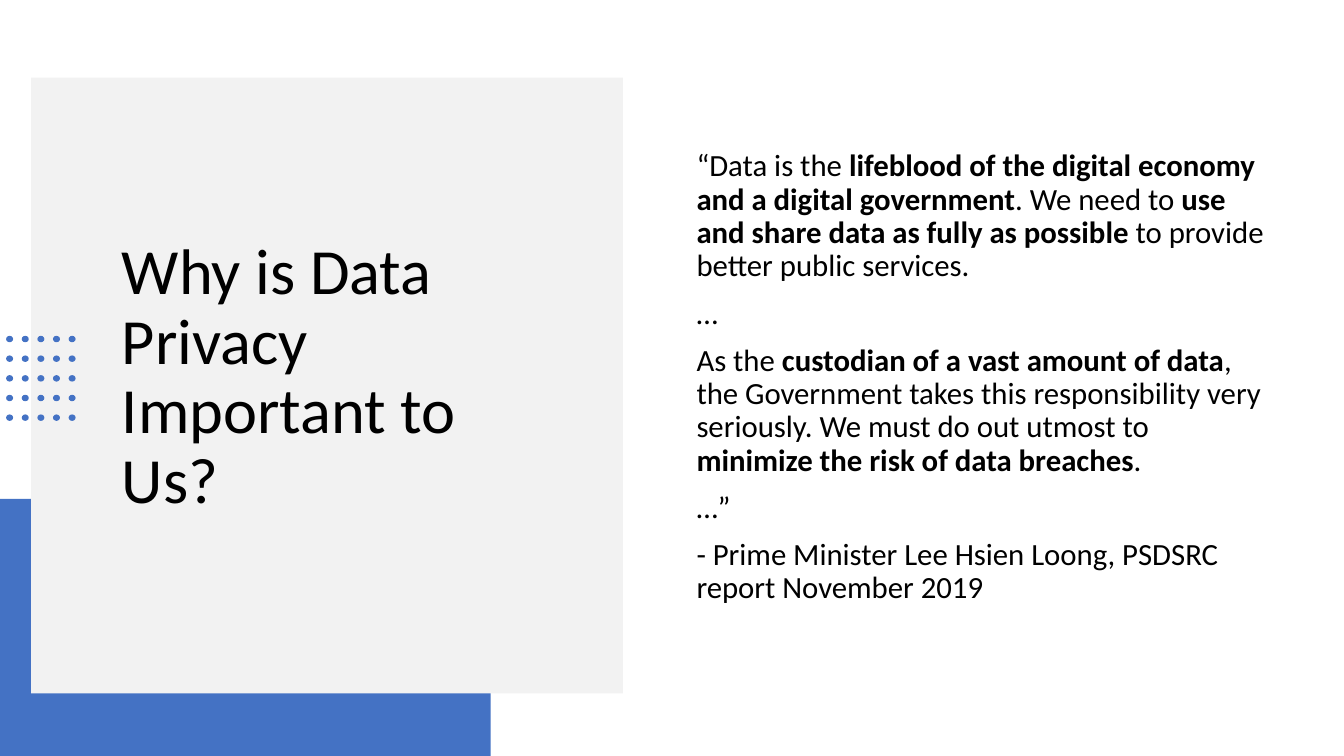
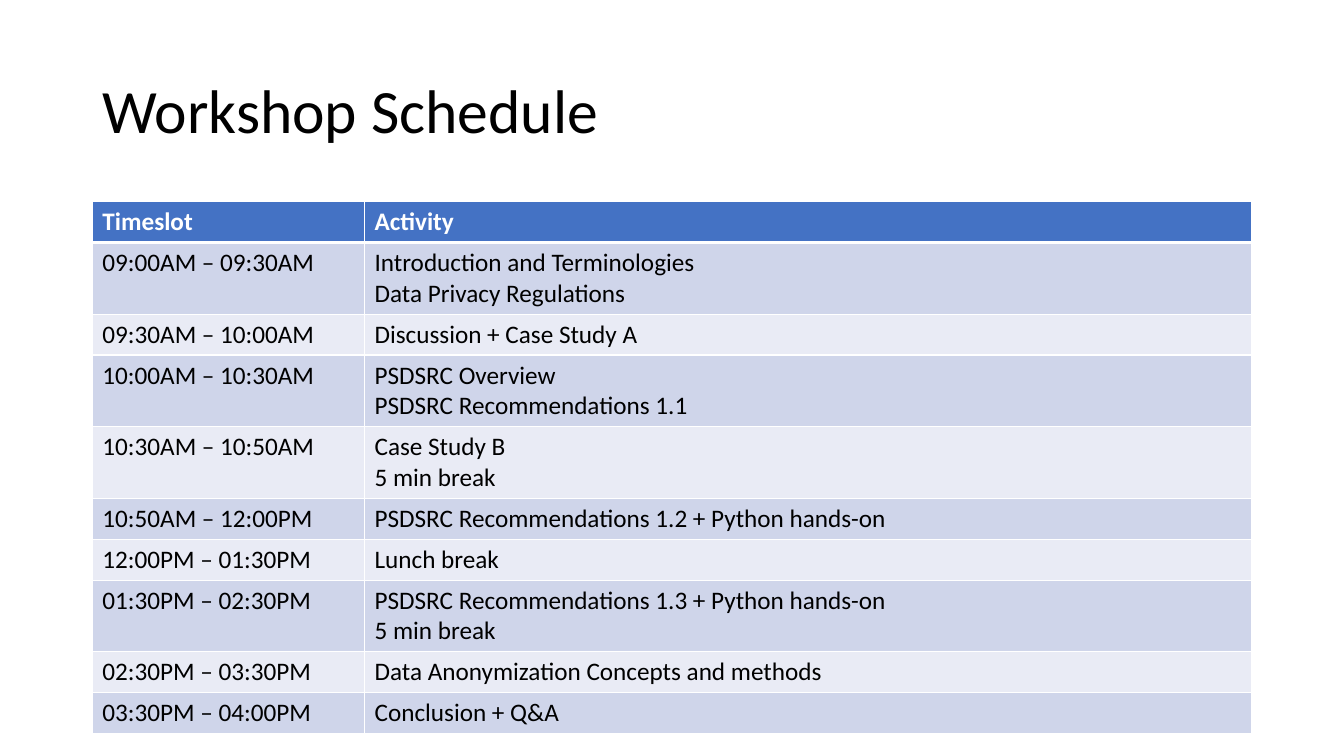
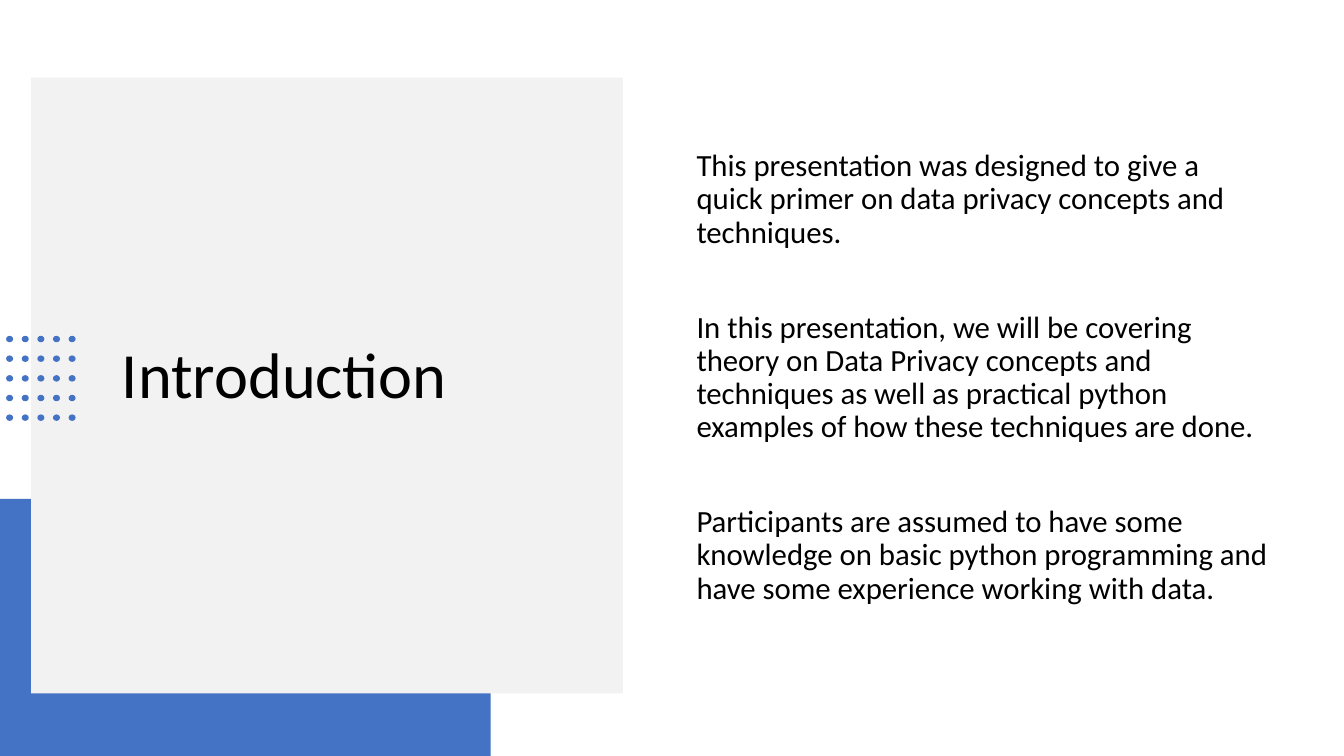
from dataclasses import dataclass
from itertools import product
from typing import Optional, Sequence

from lxml import etree
from pptx import Presentation
from pptx.dml.color import RGBColor
from pptx.enum import shapes as shape_enum, text as text_enum
from pptx.oxml import ns
from pptx.util import Pt

BLUE = RGBColor(0x44, 0x72, 0xC4)
PANEL_GREY = RGBColor(0xF2, 0xF2, 0xF2)
STRIPES = (RGBColor(0xCF, 0xD5, 0xEA), RGBColor(0xE9, 0xEB, 0xF5))
BLACK = RGBColor(0, 0, 0)
WHITE = RGBColor(0xFF, 0xFF, 0xFF)
FONT = "Calibri"
TITLE_AND_BODY, TITLE_ONLY = 1, 5


@dataclass(frozen=True)
class Box:
    """A rectangle in points."""
    left: float
    top: float
    width: float
    height: float

    def lengths(self) -> tuple:
        return Pt(self.left), Pt(self.top), Pt(self.width), Pt(self.height)


@dataclass(frozen=True)
class Run:
    text: str
    bold: bool = False


@dataclass(frozen=True)
class Paragraph:
    runs: Sequence[Run]
    space_before: float = 0


@dataclass(frozen=True)
class Session:
    timeslot: str
    activities: Sequence[str]


SLIDE = Box(0, 0, 960, 540)
BAND = Box(0, 356.4, 350.6, 183.6)
PANEL = Box(22.3, 55.4, 422.6, 440)
PANEL_TITLE = Box(79.9, 105.8, 330.5, 328.3)
PANEL_BODY = Box(490.3, 59, 422.6, 422)
PAGE_TITLE = Box(66, 28.8, 828, 104.4)
FIRST_DOT = Box(4.4, 239.9, 5, 4.6)
DOT_STEP_X, DOT_STEP_Y, DOTS_PER_SIDE = 11.16, 14.04, 5
TABLE_LEFT, TABLE_TOP = 66, 144
COLUMN_WIDTHS = (194.4, 633.6)
ROW_HEIGHT, EXTRA_LINE = 29.2, 22
THIN, THICK = 1, 3
BODY_GAP, WIDE_GAP = 10, 44

QUOTE = (
    (Run("“Data is the "),
     Run("lifeblood of the digital economy and a digital government", True),
     Run(". We need to "),
     Run("use and share data as fully as possible", True),
     Run(" to provide better public services.")),
    (Run("…"),),
    (Run("As the "),
     Run("custodian of a vast amount of data", True),
     Run(", the Government takes this responsibility very seriously. "
         "We must do out utmost to "),
     Run("minimize the risk of data breaches", True),
     Run(".")),
    (Run("…”"),),
    (Run("- Prime Minister Lee Hsien Loong, PSDSRC report November 2019"),),
)
INTRODUCTION = (
    "This presentation was designed to give a quick primer on data privacy "
    "concepts and techniques.",
    "In this presentation, we will be covering theory on Data Privacy concepts "
    "and techniques as well as practical python examples of how these "
    "techniques are done.",
    "Participants are assumed to have some knowledge on basic python "
    "programming and have some experience working with data.",
)
SCHEDULE = (
    Session("Timeslot", ("Activity",)),
    Session("09:00AM – 09:30AM", ("Introduction and Terminologies",
                                  "Data Privacy Regulations")),
    Session("09:30AM – 10:00AM", ("Discussion + Case Study A",)),
    Session("10:00AM – 10:30AM", ("PSDSRC Overview", "PSDSRC Recommendations 1.1")),
    Session("10:30AM – 10:50AM", ("Case Study B", "5 min break")),
    Session("10:50AM – 12:00PM", ("PSDSRC Recommendations 1.2 + Python hands-on",)),
    Session("12:00PM – 01:30PM", ("Lunch break",)),
    Session("01:30PM – 02:30PM", ("PSDSRC Recommendations 1.3 + Python hands-on",
                                  "5 min break")),
    Session("02:30PM – 03:30PM", ("Data Anonymization Concepts and methods",)),
    Session("03:30PM – 04:00PM", ("Conclusion + Q&A",)),
)


def plain(text: str, space_before: float = 0, bold: bool = False) -> Paragraph:
    return Paragraph((Run(text, bold),), space_before)


def write_text(frame, paragraphs: Sequence[Paragraph], *, size: float,
               color: RGBColor = BLACK, line_spacing: float = 1.0) -> None:
    for index, content in enumerate(paragraphs):
        paragraph = frame.paragraphs[0] if index == 0 else frame.add_paragraph()
        paragraph.alignment = text_enum.PP_ALIGN.LEFT
        paragraph.line_spacing = line_spacing
        paragraph.space_before = Pt(content.space_before)
        for part in content.runs:
            run = paragraph.add_run()
            run.text = part.text
            run.font.name = FONT
            run.font.size = Pt(size)
            run.font.bold = part.bold
            run.font.color.rgb = color


def fill_placeholder(shape, box: Box, paragraphs: Sequence[Paragraph],
                     size: float) -> None:
    shape.left, shape.top, shape.width, shape.height = box.lengths()
    frame = shape.text_frame
    frame.word_wrap = True
    frame.auto_size = text_enum.MSO_AUTO_SIZE.NONE
    frame.vertical_anchor = text_enum.MSO_ANCHOR.MIDDLE
    write_text(frame, paragraphs, size=size, line_spacing=0.9)


def remove_bullets(frame) -> None:
    for paragraph in frame.paragraphs:
        properties = paragraph._p.get_or_add_pPr()
        properties.set("marL", "0")
        properties.set("indent", "0")
        etree.SubElement(properties, ns.qn("a:buNone"))


def bring_to_front(shape) -> None:
    shape.element.getparent().append(shape.element)


def add_block(shapes, box: Box, color: RGBColor,
              kind=shape_enum.MSO_SHAPE.RECTANGLE) -> None:
    shape = shapes.add_shape(kind, *box.lengths())
    shape.shadow.inherit = False
    shape.fill.solid()
    shape.fill.fore_color.rgb = color
    shape.line.fill.background()


def add_dot_grid(slide) -> None:
    group = slide.shapes.add_group_shape()
    for column, row in product(range(DOTS_PER_SIDE), repeat=2):
        dot = Box(FIRST_DOT.left + column * DOT_STEP_X,
                  FIRST_DOT.top + row * DOT_STEP_Y,
                  FIRST_DOT.width, FIRST_DOT.height)
        add_block(group.shapes, dot, BLUE, shape_enum.MSO_SHAPE.OVAL)


def add_panel_slide(presentation, title: str, body: Sequence[Paragraph]) -> None:
    slide = presentation.slides.add_slide(presentation.slide_layouts[TITLE_AND_BODY])
    add_block(slide.shapes, BAND, BLUE)
    add_block(slide.shapes, PANEL, PANEL_GREY)
    title_shape, body_shape = slide.shapes.title, slide.placeholders[1]
    fill_placeholder(title_shape, PANEL_TITLE, [plain(title)], 46)
    bring_to_front(title_shape)
    add_dot_grid(slide)
    fill_placeholder(body_shape, PANEL_BODY, body, 22)
    remove_bullets(body_shape.text_frame)
    bring_to_front(body_shape)


def set_borders(cell, top: float, bottom: float) -> None:
    """Draw white borders; call before the cell gets its fill."""
    properties = cell._tc.get_or_add_tcPr()
    widths = {"lnL": THIN, "lnR": THIN, "lnT": top, "lnB": bottom}
    for side, width in widths.items():
        line = etree.SubElement(properties, ns.qn(f"a:{side}"), w=str(Pt(width)))
        fill = etree.SubElement(line, ns.qn("a:solidFill"))
        etree.SubElement(fill, ns.qn("a:srgbClr"), val=str(WHITE))


def format_cell(cell, lines: Sequence[str], row: int) -> None:
    is_header = row == 0
    set_borders(cell, top=THICK if row == 1 else THIN,
                bottom=THICK if is_header else THIN)
    cell.fill.solid()
    cell.fill.fore_color.rgb = BLUE if is_header else STRIPES[(row - 1) % 2]
    write_text(cell.text_frame, [plain(line, bold=is_header) for line in lines],
               size=18, color=WHITE if is_header else BLACK)


def add_schedule_slide(presentation, title: str, sessions: Sequence[Session]) -> None:
    slide = presentation.slides.add_slide(presentation.slide_layouts[TITLE_ONLY])
    fill_placeholder(slide.shapes.title, PAGE_TITLE, [plain(title)], 44)
    heights = [ROW_HEIGHT + EXTRA_LINE * (len(session.activities) - 1)
               for session in sessions]
    box = Box(TABLE_LEFT, TABLE_TOP, sum(COLUMN_WIDTHS), sum(heights))
    table = slide.shapes.add_table(len(sessions), len(COLUMN_WIDTHS),
                                   *box.lengths()).table
    for column, width in zip(table.columns, COLUMN_WIDTHS):
        column.width = Pt(width)
    for row, (session, height) in enumerate(zip(sessions, heights)):
        table.rows[row].height = Pt(height)
        format_cell(table.cell(row, 0), [session.timeslot], row)
        format_cell(table.cell(row, 1), session.activities, row)


def main() -> None:
    presentation = Presentation()
    presentation.slide_width, presentation.slide_height = SLIDE.lengths()[2:]
    add_panel_slide(presentation, "Why is Data Privacy Important to Us?",
                    [Paragraph(runs, BODY_GAP) for runs in QUOTE])
    add_schedule_slide(presentation, "Workshop Schedule", SCHEDULE)
    add_panel_slide(presentation, "Introduction",
                    [plain(text, WIDE_GAP if index else BODY_GAP)
                     for index, text in enumerate(INTRODUCTION)])
    presentation.save("out.pptx")


if __name__ == "__main__":
    main()
